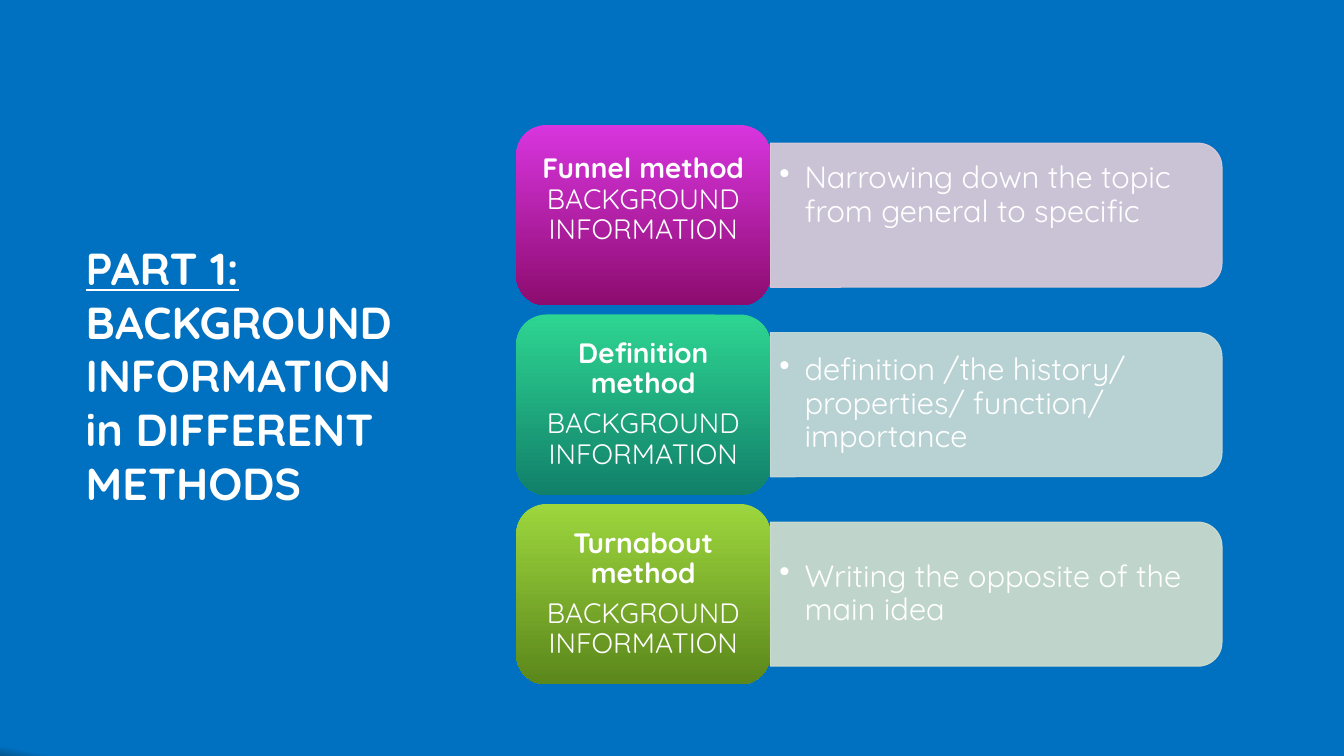
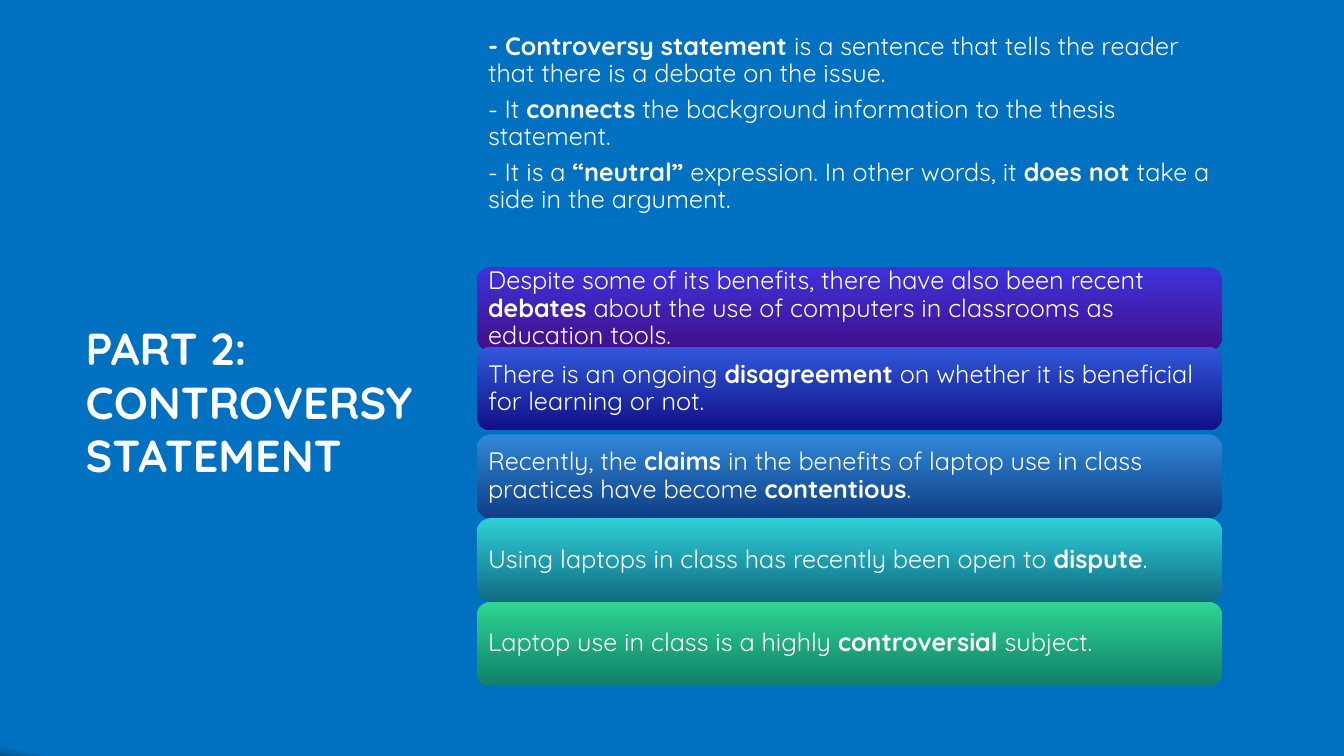
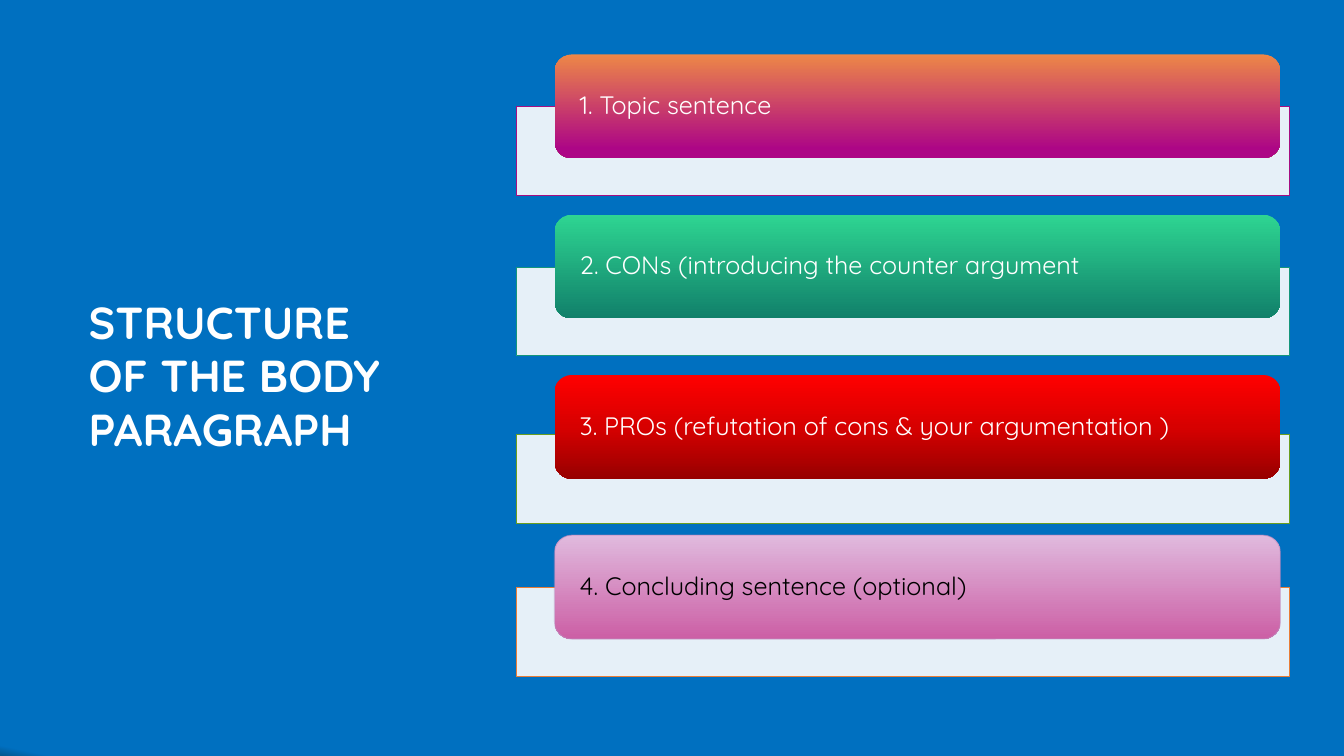
from copy import deepcopy

from lxml.etree import SubElement
from pptx import Presentation
from pptx.dml.color import RGBColor
from pptx.enum.shapes import MSO_SHAPE as Shape
from pptx.enum.text import MSO_ANCHOR as Anchor, MSO_AUTO_SIZE as AutoSize, PP_ALIGN as Align
from pptx.oxml.ns import qn
from pptx.util import Inches, Pt

# Shared look
FONT = "Quicksand"
COLOURS = {
    "white": "FFFFFF", "black": "000000",
    "background": "0070C0", "background_edge": "06588E",
    "pink_panel": "E1CCD8", "mint_panel": "CCDDD7", "lime_panel": "D4DFCD",
    "magenta_edge": "A50E82", "green_edge": "14967C",
    "olive_edge": "6A9E1F", "orange_edge": "E87D37", "mauve_edge": "C089BD",
}
# Each gradient runs from top to bottom: (position in percent, colour)
GRADIENTS = {
    "magenta": [(0, "D835DF"), (100, "8D0C6F")],
    "green": [(0, "2ED592"), (100, "11806A")],
    "lime": [(0, "9DD63D"), (100, "5B871B")],
    "violet": [(0, "3E32DC"), (100, "420E89")],
    "indigo": [(0, "3159DA"), (100, "110F87")],
    "blue": [(0, "3088D8"), (100, "0F3D85")],
    "cyan": [(0, "2FCFD7"), (100, "106B83")],
    "sunset": [(0, "ED8747"), (91, "AD0686")],
    "red": [(0, "FF0000"), (50, "D70000"), (100, "970000")],
    "pink": [(0, "E0BADE"), (100, "CC5FA5")],
}
TITLE_LEFT, TITLE_MIDDLE, TITLE_WIDTH, TITLE_HEIGHT = 0.75, 3.98, 3.62, 5.63
LIFTED_MIDDLE = 3.72


def rgb(name):
    return RGBColor.from_string(COLOURS[name])


def place(shape, left, top, width, height):
    shape.left, shape.top = Inches(left), Inches(top)
    shape.width, shape.height = Inches(width), Inches(height)


def set_gradient(fill, element, stops, angle=270):
    fill.gradient()
    fill.gradient_angle = angle
    stop_list = next(element.iter(qn("a:gsLst")))
    for _ in stops[2:]:
        stop_list.append(deepcopy(stop_list[-1]))
    for stop, (percent, colour) in zip(fill.gradient_stops, stops):
        stop.position = percent / 100
        stop.color.rgb = RGBColor.from_string(colour)


def set_opacity(element, percent):
    for colour in element.iter(qn("a:srgbClr")):
        SubElement(colour, qn("a:alpha"), val=str(percent * 1000))


def set_bullet(paragraph, character=None, indent=0):
    properties = paragraph._p.get_or_add_pPr()
    properties.set("marL", str(Inches(indent)))
    properties.set("indent", str(-Inches(indent)))
    if character:
        bullet = SubElement(properties, qn("a:buChar"), char=character)
    else:
        bullet = SubElement(properties, qn("a:buNone"))
    default_font = properties.find(qn("a:defRPr"))
    if default_font is not None:
        default_font.addprevious(bullet)


def style_font(font, size, colour="white"):
    font.name, font.size = FONT, Pt(size)
    font.color.rgb = rgb(colour)


def set_frame(frame, margins, anchor=Anchor.MIDDLE):
    frame.word_wrap = True
    frame.auto_size = AutoSize.NONE
    frame.vertical_anchor = anchor
    (frame.margin_left, frame.margin_top,
     frame.margin_right, frame.margin_bottom) = map(Inches, margins)


def write(frame, texts, size, colour="white", align=Align.LEFT, gap=0.35):
    """Write one paragraph per text; **marks** enclose bold words."""
    for index, text in enumerate(texts):
        paragraph = frame.paragraphs[0] if index == 0 else frame.add_paragraph()
        paragraph.alignment = align
        paragraph.line_spacing = 0.9
        paragraph.space_before = Pt(0)
        paragraph.space_after = Pt(round(size * gap, 1))
        style_font(paragraph.font, size, colour)
        for position, part in enumerate(text.split("**")):
            if part:
                run = paragraph.add_run()
                run.text = part
                if position % 2:
                    run.font.bold = True


def add_block(slide, kind, left, top, width, height, gradient=None, fill=None,
              line=None):
    shape = slide.shapes.add_shape(kind, 0, 0, 0, 0)
    place(shape, left, top, width, height)
    shape.shadow.inherit = False
    if gradient:
        set_gradient(shape.fill, shape._element, GRADIENTS[gradient])
    else:
        shape.fill.solid()
        shape.fill.fore_color.rgb = rgb(fill)
    if line:
        shape.line.color.rgb = rgb(line)
        shape.line.width = Pt(0.75)
    else:
        shape.line.fill.background()
    return shape


def add_slide(presentation, layout, title, underlined="", left=TITLE_LEFT,
              middle=TITLE_MIDDLE):
    slide = presentation.slides.add_slide(presentation.slide_layouts[layout])
    shape = slide.shapes.title
    place(shape, left, middle - TITLE_HEIGHT / 2, TITLE_WIDTH, TITLE_HEIGHT)
    set_frame(shape.text_frame, (0.1, 0.05, 0.1, 0.05))
    paragraph = shape.text_frame.paragraphs[0]
    if underlined:
        lead = paragraph.add_run()
        lead.text = underlined
        lead.font.underline = True
        paragraph.add_run().text = title
    else:
        paragraph.text = title
    paragraph.alignment = Align.LEFT
    style_font(paragraph.font, 32)
    paragraph.font.bold = True
    return slide


# Slide 1: a tile with a panel beside it for each method
def add_method(slide, row, gradient, panel_colour, heading, description,
               tile_lift=0, panel_lift=0):
    tile_left, tile_width, tile_height = 5.12, 2.52, 1.79
    panel_left, panel_width, panel_height = 7.64, 4.48, 1.43
    top = 1.24 + row * 1.88
    middle = top + tile_height / 2

    # The panel is turned so that its round corners face right
    panel = add_block(slide, Shape.ROUND_2_SAME_RECTANGLE,
                      panel_left + (panel_width - panel_height) / 2,
                      middle - panel_width / 2, panel_height, panel_width,
                      fill=panel_colour, line=panel_colour)
    panel.rotation = 90
    set_opacity(panel._element.spPr, 90)

    box = slide.shapes.add_textbox(0, 0, 0, 0)
    place(box, panel_left, middle - 0.65, 4.41, 1.29)
    set_frame(box.text_frame, (0.09, 0.05, 0.09, 0.05 + panel_lift))
    write(box.text_frame, [description], 22, gap=0.15)
    set_bullet(box.text_frame.paragraphs[0], "•", 0.25)

    tile = add_block(slide, Shape.ROUNDED_RECTANGLE, tile_left, top,
                     tile_width, tile_height, gradient)
    set_frame(tile.text_frame, (0.08, 0.04, 0.08, 0.04 + tile_lift))
    write(tile.text_frame, heading, 20, align=Align.CENTER)


def build_methods(presentation):
    slide = add_slide(presentation, 5, "BACKGROUND INFORMATION in DIFFERENT METHODS",
                      underlined="PART 1: ", middle=LIFTED_MIDDLE)
    subject = "BACKGROUND INFORMATION"
    add_method(slide, 0, "magenta", "pink_panel", ["**Funnel method **" + subject],
               "Narrowing down the topic from general to specific", 0.3, 0.38)
    add_method(slide, 1, "green", "mint_panel", ["**Definition method**", subject],
               "definition /the history/ properties/ function/ importance")
    add_method(slide, 2, "lime", "lime_panel", ["**Turnabout method**", subject],
               "Writing the opposite of the main idea")


# Slide 2: definition above a stack of example sentences
def build_controversy(presentation):
    slide = add_slide(presentation, 1, "PART 2: CONTROVERSY STATEMENT")
    body = slide.placeholders[1]
    place(body, 4.77, 0.26, 7.31, 2)
    set_frame(body.text_frame, (0.07,) * 4, Anchor.TOP)
    write(body.text_frame, [
        "**- Controversy statement **is a sentence that tells the reader that "
        "there is a debate on the issue.",
        "- It **connects** the background information to the thesis statement.",
        "- It is a **“neutral” **expression. In other words, it **does not **"
        "take a side in the argument.",
    ], 18)
    for paragraph in body.text_frame.paragraphs:
        set_bullet(paragraph)

    examples = [
        ("violet", 0, "Despite some of its benefits, there have also been recent "
         "**debates** about the use of computers in classrooms as education tools."),
        ("indigo", -0.04, "There is an ongoing **disagreement** on whether it is "
         "beneficial for learning or not."),
        ("blue", 0, "Recently, the **claims **in the benefits of laptop use in class "
         "practices have become **contentious**."),
        ("cyan", 0, "Using laptops in class has recently been open to **dispute**."),
        ("green", 0, "Laptop use in class is a highly **controversial** subject."),
    ]
    bar_height = 0.83
    for row, (gradient, nudge, text) in enumerate(examples):
        bar = add_block(slide, Shape.ROUNDED_RECTANGLE, 4.73,
                        2.65 + row * bar_height + nudge, 7.39, bar_height, gradient)
        set_frame(bar.text_frame, (0.07,) * 4)
        write(bar.text_frame, [text], 18)


# Slide 3: labelled bars lying on pale trays
def build_structure(presentation):
    slide = add_slide(presentation, 5, "STRUCTURE \vOF THE BODY PARAGRAPH",
                      left=0.78, middle=LIFTED_MIDDLE)
    steps = [
        ("sunset", "magenta_edge", 0.52, None, "white", "1. Topic sentence"),
        ("green", "green_edge", 0.52, None, "white",
         "2. CONs (introducing the counter argument"),
        ("red", "olive_edge", 0.59, None, "white",
         "3. PROs (refutation of cons & your argumentation )"),
        ("pink", "orange_edge", 0.52, "mauve_edge", "black",
         "4. Concluding sentence (optional)"),
    ]
    for row, (gradient, edge, tray_drop, outline, ink, text) in enumerate(steps):
        top = 0.54 + row * 1.59
        tray = add_block(slide, Shape.RECTANGLE, 5.12, top + tray_drop, 7.67, 0.88,
                         fill="white", line=edge)
        set_opacity(tray._element.spPr.find(qn("a:solidFill")), 90)
        bar = add_block(slide, Shape.ROUNDED_RECTANGLE, 5.5, top, 7.2, 1.03,
                        gradient, line=outline)
        if outline:
            set_opacity(bar._element.spPr.find(qn("a:ln")), 60)
        set_frame(bar.text_frame, (0.2, 0, 0.2, 0))
        write(bar.text_frame, [text], 18, ink)


def main():
    presentation = Presentation()
    presentation.slide_width, presentation.slide_height = Inches(13.33), Inches(7.5)
    master = presentation.slide_master
    set_gradient(master.background.fill, master._element,
                 [(99, COLOURS["background"]), (100, COLOURS["background_edge"])], 258)
    build_methods(presentation)
    build_controversy(presentation)
    build_structure(presentation)
    presentation.save("out.pptx")


if __name__ == "__main__":
    main()
